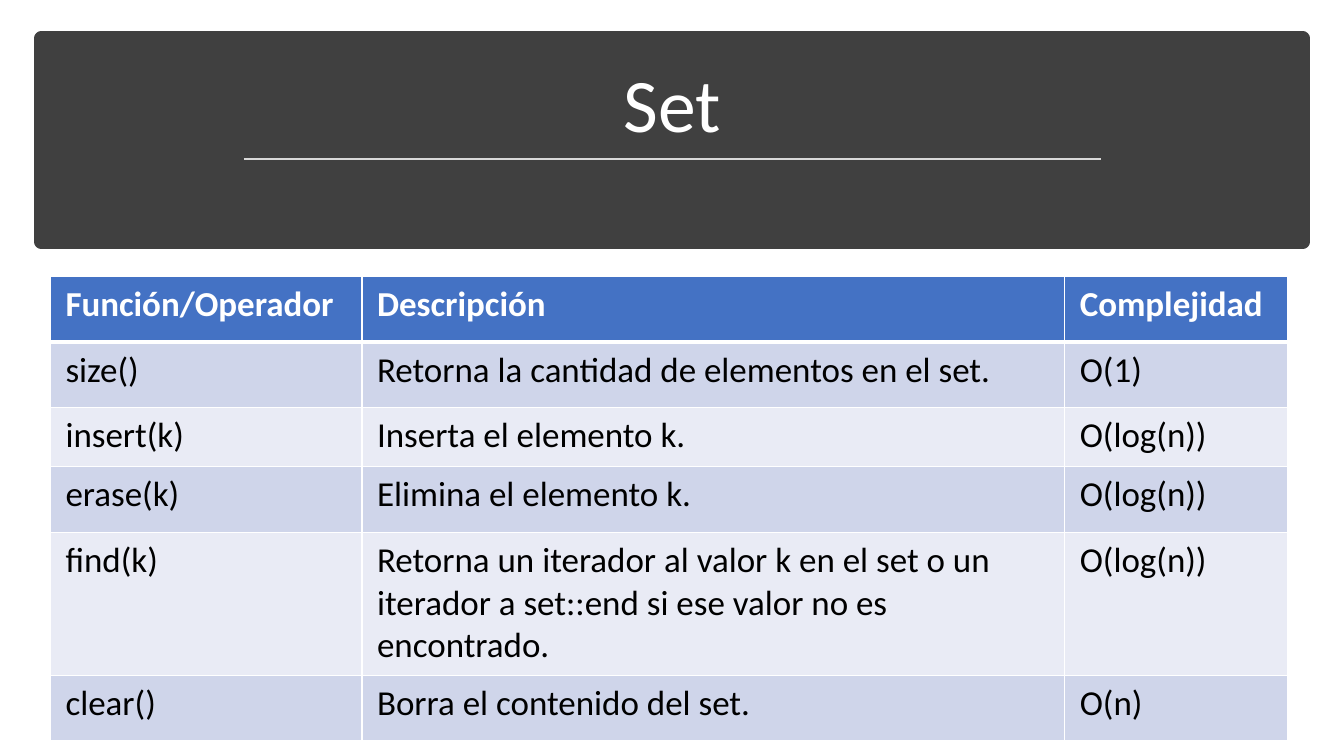
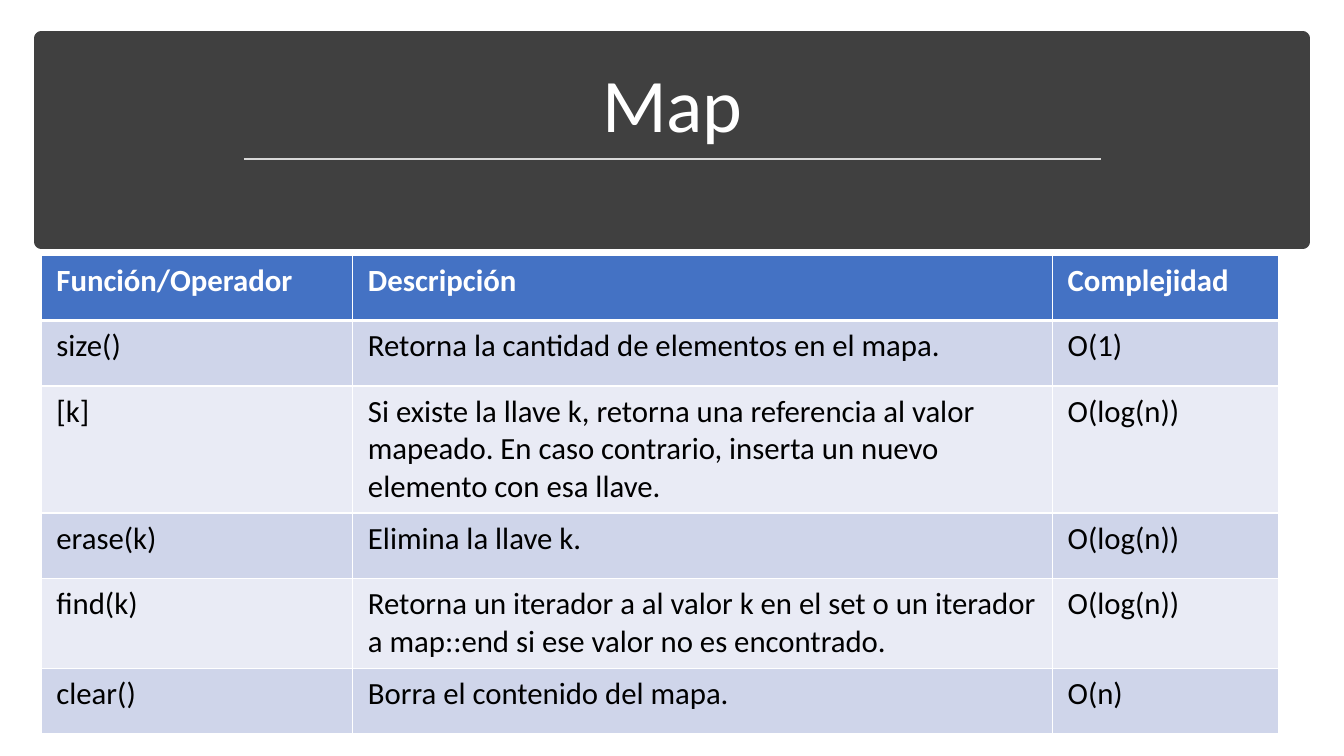
from lxml import etree
from pptx import Presentation
from pptx.dml.color import RGBColor
from pptx.enum.shapes import MSO_CONNECTOR as Conn, MSO_SHAPE as Shape
from pptx.enum.text import MSO_ANCHOR as Anchor, MSO_AUTO_SIZE as Auto, PP_ALIGN as Align
from pptx.oxml import parse_xml
from pptx.oxml.ns import nsdecls, qn
from pptx.util import Emu, Pt

SCALE = 9144  # EMU per px, 100 px to the inch
FONT = "Calibri"
WHITE, BLACK = "FFFFFF", "000000"
DARK, RULE = "404040", "D9D9D9"
HEAD, ODD, EVEN = "4472C4", "CFD5EA", "E9EBF5"

TITLES = ("Función/Operador", "Descripción", "Complejidad")
SET = (
    TITLES,
    ("size()", "Retorna la cantidad de elementos en el set.", "O(1)"),
    ("insert(k)", "Inserta el elemento k.", "O(log(n))"),
    ("erase(k)", "Elimina el elemento k.", "O(log(n))"),
    ("find(k)", "Retorna un iterador al valor k en el set o un iterador a "
     "set::end si ese valor no es encontrado.", "O(log(n))"),
    ("clear()", "Borra el contenido del set.", "O(n)"),
)
MAP = (
    TITLES,
    ("size()", "Retorna la cantidad de elementos en el mapa.", "O(1)"),
    ("[k]", "Si existe la llave k, retorna una referencia al valor mapeado. "
     "En caso contrario, inserta un nuevo elemento con esa llave.", "O(log(n))"),
    ("erase(k)", "Elimina la llave k.", "O(log(n))"),
    ("find(k)", "Retorna un iterador a al valor k en el set o un iterador a "
     "map::end si ese valor no es encontrado.", "O(log(n))"),
    ("clear()", "Borra el contenido del mapa.", "O(n)"),
)


def px(*sizes):
    return [Emu(size * SCALE) for size in sizes]


def paint(color, code):
    color.rgb = RGBColor.from_string(code)


def write(par, text, size, code, bold=False):
    run = par.add_run()
    run.text = text
    font = run.font
    font.name, font.size, font.bold = FONT, Pt(size), bold
    paint(font.color, code)


def add_band(slide):
    band = slide.shapes.add_shape(Shape.RECTANGLE, *px(41, 38, 1251, 202))
    band.shadow.inherit = False
    band.fill.solid()
    paint(band.fill.fore_color, DARK)
    paint(band.line.color, DARK)
    band.line.width = Pt(10)
    return band


def add_title(slide, text, band):
    """Fill the title placeholder and lift it just above the band."""
    title = slide.shapes.title
    band._element.addnext(title._element)
    title.left, title.top, title.width, title.height = px(58, 51, 1218, 102)
    frame = title.text_frame
    frame.word_wrap, frame.auto_size = True, Auto.NONE
    frame.vertical_anchor = Anchor.BOTTOM
    par = frame.paragraphs[0]
    par.alignment, par.line_spacing = Align.CENTER, 0.9
    write(par, text, 54, WHITE)


def add_rule(slide):
    rule = slide.shapes.add_connector(Conn.STRAIGHT, *px(242, 158, 1092, 158))
    paint(rule.line.color, RULE)
    rule.line.width = Pt(1.75)
    etree.SubElement(rule._element.spPr, qn("a:effectLst"))


def edge(cell, row):
    """Draw white cell borders, thick between the header and the body."""
    props = cell._tc.get_or_add_tcPr()
    thick = {(0, "B"), (1, "T")}
    for side in "LRTB":
        width = Pt(3 if (row, side) in thick else 1)
        props.append(parse_xml(
            f'<a:ln{side} {nsdecls("a")} w="{width}"><a:solidFill>'
            f'<a:srgbClr val="{WHITE}"/></a:solidFill></a:ln{side}>'))


def fill_cell(cell, row, text, size):
    edge(cell, row)
    cell.margin_left, cell.margin_right = px(15, 15)
    cell.margin_top, cell.margin_bottom = px(7, 7)
    cell.fill.solid()
    back = HEAD if row == 0 else (EVEN, ODD)[row % 2]
    paint(cell.fill.fore_color, back)
    write(cell.text_frame.paragraphs[0], text, size,
          BLACK if row else WHITE, bold=row == 0)


def add_grid(slide, left, top, cols, rows, data, size):
    box = px(left, top, sum(cols), sum(rows))
    table = slide.shapes.add_table(len(rows), len(cols), *box).table
    for col, width in zip(table.columns, px(*cols)):
        col.width = width
    for line, height in zip(table.rows, px(*rows)):
        line.height = height
    for row, texts in enumerate(data):
        for col, text in enumerate(texts):
            fill_cell(table.cell(row, col), row, text, size)


def add_page(deck, title, *grid):
    slide = deck.slides.add_slide(deck.slide_layouts[5])
    add_title(slide, title, add_band(slide))
    add_rule(slide)
    add_grid(slide, *grid)


def main():
    deck = Presentation()
    deck.slide_width, deck.slide_height = px(1333, 750)
    add_page(deck, "Set", 50, 274, (309, 697, 221),
             (65, 65, 59, 65, 142, 65), SET, 25)
    add_page(deck, "Map", 41, 253, (309, 694, 224),
             (65, 65, 126, 65, 89, 65), MAP, 22)
    deck.save("out.pptx")


if __name__ == "__main__":
    main()
